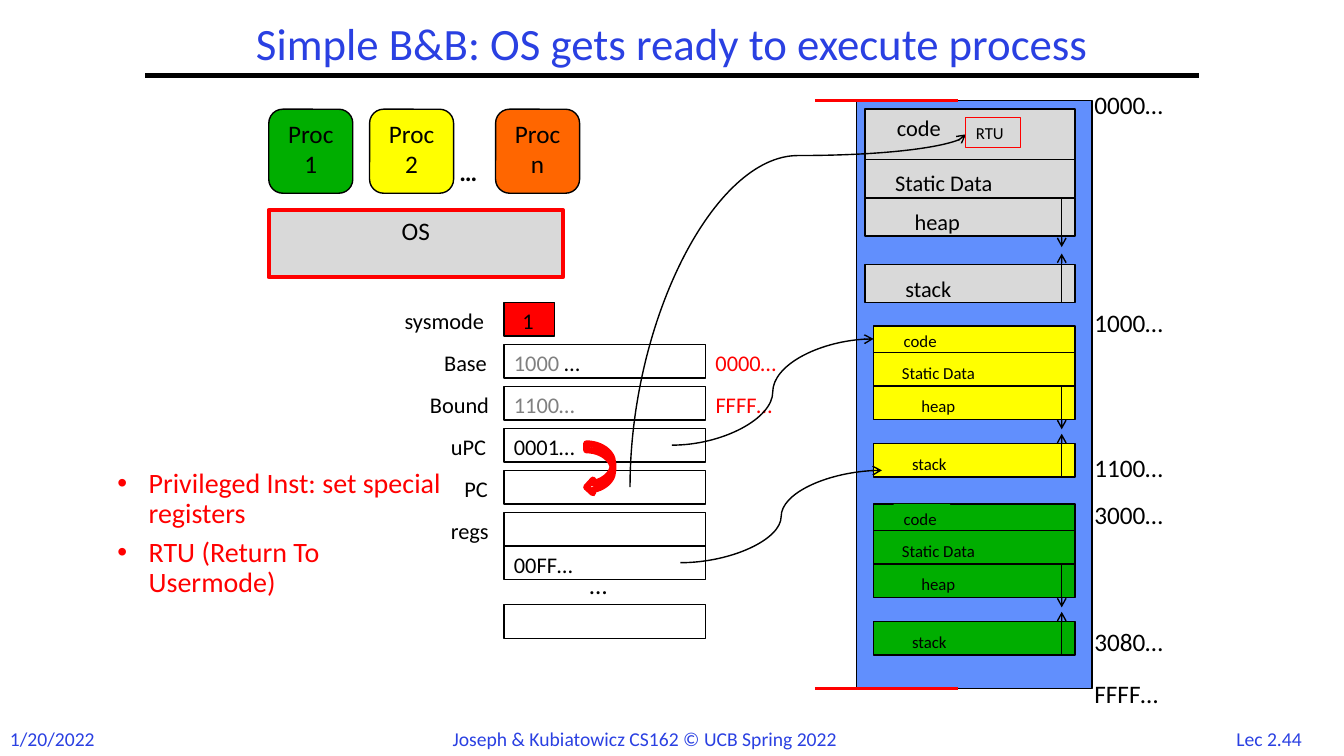
from dataclasses import dataclass
from lxml.etree import SubElement
from pptx import Presentation
from pptx.dml.color import RGBColor
from pptx.enum.shapes import MSO_CONNECTOR, MSO_SHAPE
from pptx.enum.text import MSO_ANCHOR, MSO_AUTO_SIZE, PP_ALIGN
from pptx.oxml.ns import qn
from pptx.util import Inches, Pt


@dataclass(frozen=True)
class Theme:
    font: str = "Calibri"
    title: int = 32
    bullet: int = 20
    large: int = 18
    label: int = 16
    footer: int = 14
    small: int = 12
    blue: str = "2A40E2"
    black: str = "000000"
    white: str = "FFFFFF"
    red: str = "FF0000"
    green: str = "00AE00"
    yellow: str = "FFFF00"
    orange: str = "FF6600"
    gray: str = "D9D9D9"
    dim: str = "808080"
    memory: str = "618FFD"


T = Theme()
COLS, ROWS = 160, 90  # grid cells of 1/12 inch


def u(cells):
    return Inches(cells / 12)


def rgb(colour):
    return RGBColor.from_string(colour)


def style(r, size, colour, bold=False):
    f = r.font
    f.name, f.size, f.bold = T.font, Pt(size), bold
    f.color.rgb = rgb(colour)


def write(sp, text, size, colour=T.black, align=PP_ALIGN.LEFT, wrap=False, bold=False):
    tf = sp.text_frame
    tf.text = text
    tf.word_wrap = wrap
    tf.auto_size = MSO_AUTO_SIZE.NONE if wrap else MSO_AUTO_SIZE.SHAPE_TO_FIT_TEXT
    tf.vertical_anchor = MSO_ANCHOR.TOP
    for p in tf.paragraphs:
        p.alignment = align
        for r in p.runs:
            style(r, size, colour, bold)
    return tf


def label(s, box, text, size, colour=T.black, fill=None, **options):
    sp = s.shapes.add_textbox(*map(u, box))
    if fill:
        sp.fill.solid()
        sp.fill.fore_color.rgb = rgb(fill)
    return write(sp, text, size, colour, **options)


def block(s, box, fill=None, line=T.black, width=1, kind=MSO_SHAPE.RECTANGLE):
    sp = s.shapes.add_shape(kind, *map(u, box))
    sp.shadow.inherit = False
    if fill:
        sp.fill.solid()
        sp.fill.fore_color.rgb = rgb(fill)
    else:
        sp.fill.background()
    sp.line.color.rgb = rgb(line)
    sp.line.width = Pt(width)
    return sp


def link(s, start, end, colour=T.black, width=1, arrow=False, kind=MSO_CONNECTOR.STRAIGHT):
    cx = s.shapes.add_connector(kind, *map(u, start + end))
    cx.line.color.rgb = rgb(colour)
    cx.line.width = Pt(width)
    sp_pr = cx._element.spPr
    if arrow:
        SubElement(sp_pr.find(qn("a:ln")), qn("a:tailEnd"), type="arrow")
    SubElement(sp_pr, qn("a:effectLst"))
    return cx


def title_bar(s, x, y, w, h):
    tf = label(s, (x, y, w, h), "Simple B&B: OS gets ready to execute process",
               T.title, T.blue, align=PP_ALIGN.CENTER, wrap=True)
    tf.vertical_anchor = MSO_ANCHOR.MIDDLE
    tf.paragraphs[0].line_spacing = 0.9
    link(s, (x - 4.7, y + h), (x + w + 4.7, y + h), width=3)


def footer(s, y):
    for x, w, text in ((0, 12.8, "1/20/2022"),
                       (52.7, 54.6, "Joseph & Kubiatowicz CS162 © UCB Spring 2022"),
                       (146, 11.7, "Lec 2.44")):
        label(s, (x, y, w, 4), text, T.footer, T.blue)


def bullets(s, box):
    tf = label(s, box, "Privileged Inst: set special registers\nRTU (Return To Usermode)",
               T.bullet, T.red, wrap=True)
    for i, p in enumerate(tf.paragraphs):
        p_pr = p._p.get_or_add_pPr()
        p_pr.set("marL", str(Inches(0.31)))
        p_pr.set("indent", str(-Inches(0.31)))
        p.line_spacing = 0.9
        if i:
            p.space_before = Pt(6)
        SubElement(p_pr, qn("a:buFont"), typeface="Arial")
        SubElement(p_pr, qn("a:buChar"), char="•")


def processes(s, x, y):
    """Process tiles standing on the operating system bar."""
    sp = block(s, (x, y + 12, 35, 8), T.gray, T.red, 3)
    write(sp, "OS", T.large, align=PP_ALIGN.CENTER, wrap=True)
    for dx, name, fill in ((0, "1", T.green), (12, "2", T.yellow), (27, "n", T.orange)):
        sp = block(s, (x + dx, y, 10, 10), fill, kind=MSO_SHAPE.ROUNDED_RECTANGLE)
        write(sp, f"Proc {name}", T.large, align=PP_ALIGN.CENTER, wrap=True)
    label(s, (x + 21.5, y + 5, 5.4, 4.8), "…", T.large, bold=True)


def process_image(s, x, y, w, code_h, row_h, stack_y, fill, size, filled=()):
    """Code, data, heap and stack of one process; filled names labels with a ground."""
    scale = 1 if size == T.label else 0.81
    inset = 0 if size == T.label else -0.2
    heap_y = code_h + row_h
    for name, dy, h, dx, label_w in (("code", 0, code_h, 2.6, 8.3),
                                     ("Static Data", code_h, row_h, 2.4, 15.6),
                                     ("heap", heap_y, row_h, 4.7, 8.4),
                                     ("stack", stack_y, row_h, 3.6, 8.8)):
        block(s, (x, y + dy, w, h), fill)
        drop = 0.6 if dy else 0
        label(s, (x + dx + inset, y + dy + drop, label_w * scale, 4.4 * scale), name, size,
              fill=fill if name in filled else None)
    arrow_x, reach = x + w - 1.6, 1.29 * row_h
    for start, step in ((stack_y + row_h, -reach), (heap_y, reach)):
        link(s, (arrow_x, y + start), (arrow_x, y + start + step), arrow=True)


def memory(s, x, y, w, h):
    block(s, (x, y, w, h), T.memory)
    process_image(s, x + 1, y + 1, 25, 6, 4.55, 18.5, T.gray, T.label)
    process_image(s, x + 2, y + 26.8, 24, 3.15, 4, 14, T.yellow, T.small, ("Static Data",))
    process_image(s, x + 2, y + 48, 24, 3.15, 4, 14, T.green, T.small, ("code", "Static Data"))
    for dy, text in ((-2, "0000…"), (24, "1000…"), (41.2, "1100…"),
                     (46.8, "3000…"), (62, "3080…"), (68.2, "FFFF…")):
        label(s, (x + w - 0.9, y + dy, 12.8 if text == "FFFF…" else 12.2, 4.8), text, T.large)
    for edge in (y, y + h):
        link(s, (x - 5, edge), (x + 12, edge), T.red, 2.25)


def registers(s, x, y):
    w, h, pitch = 24, 4, 5
    block(s, (x, y, 6, h), T.red)
    label(s, (x + 1, y, 4, 4.4), "1", T.label)
    for i, (name, name_w) in enumerate((("sysmode", 13.2), ("Base", 8.5), ("Bound", 10.2),
                                        ("uPC", 7.7), ("PC", 6.1), ("regs", 7.7))):
        label(s, (x + 0.2 - name_w, y + i * pitch, name_w, 4.4), name, T.label)
        if i:
            block(s, (x, y + i * pitch, w, h))
    for dy in (29, 36):
        block(s, (x, y + dy, w, h))
    tf = label(s, (x, y + pitch, 11.9, 4.4), "1000 ", T.label, T.dim)
    r = tf.paragraphs[0].add_run()
    r.text = "…"
    style(r, T.label, T.black)
    for dx, dy, value_w, value, colour in ((0, 10, 10.9, "1100…", T.dim),
                                           (0, 15, 11, "0001…", T.black),
                                           (0, 29, 11.4, "00FF…", T.black),
                                           (w, 5, 11, "0000…", T.red),
                                           (w, 10, 11.6, "FFFF…", T.red)):
        label(s, (x + dx, y + dy, value_w, 4.4), value, T.label, colour)
    label(s, (x + 9, y + 31.2, 5.4, 4.8), "…", T.large)


def pointers(s):
    """Curves from the registers into memory, and the swap of uPC into PC."""
    cx = link(s, (116, 57), (74, 17), arrow=True, kind=MSO_CONNECTOR.CURVE)
    sp_pr = cx._element.spPr
    sp_pr.find(qn("a:xfrm")).set("rot", "5400000")
    av = sp_pr.find(qn("a:prstGeom")).find(qn("a:avLst"))
    SubElement(av, qn("a:gd"), name="adj1", fmla="val 94000")
    for start, end in (((80, 53), (104, 40.35)), ((81, 67), (105, 56))):
        link(s, start, end, arrow=True, kind=MSO_CONNECTOR.CURVE)
    write(block(s, (115, 14, 6.5, 3.6), line=T.red, width=0.75), "RTU", T.small)
    block(s, (69.8, 52.8, 3.2, 6), T.white, T.red, 4.5, MSO_SHAPE.CURVED_LEFT_ARROW)


def main():
    prs = Presentation()
    prs.slide_width, prs.slide_height = u(COLS), u(ROWS)
    s = prs.slides.add_slide(prs.slide_layouts[6])
    title_bar(s, 22, 2, 116, 7)
    footer(s, 86)
    bullets(s, (12.8, 55.3, 41, 14))
    processes(s, 32, 13)
    memory(s, 102, 12, 28, 70)
    registers(s, 60, 36)
    pointers(s)
    prs.save("out.pptx")


if __name__ == "__main__":
    main()
